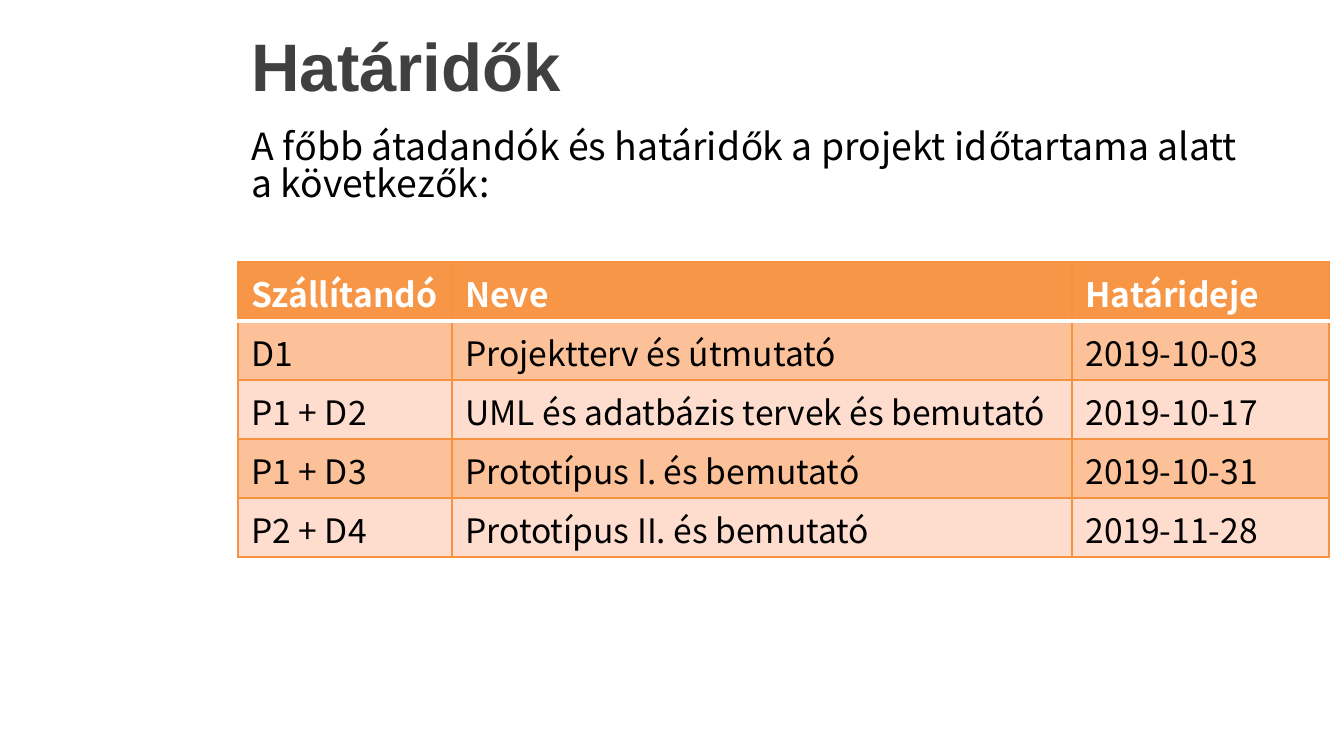
from lxml.etree import SubElement
from pptx import Presentation
from pptx.dml.color import RGBColor
from pptx.enum.text import MSO_ANCHOR
from pptx.oxml.ns import qn
from pptx.util import Emu, Pt

COLORS = {"title": "404040", "text": "000000", "white": "FFFFFF",
          "header": "F79646", "band": "FCC198", "plain": "FFDDCE",
          "border": "F69240"}
HEADING_FONT, BODY_FONT = "Arial", "Noto Sans CJK KR"
SCALE = 914400 / 134.4


def px(length):
    """Turn picture pixels into EMU."""
    return Emu(round(length * SCALE))


class DeadlineSlide:
    """Holds the style and the current slide."""

    def __init__(self, deck):
        """Add a blank slide to the deck."""
        self.slide = deck.slides.add_slide(deck.slide_layouts[6])

    def style(self, paragraph, size, color, font=BODY_FONT, bold=False):
        """Format every run of a paragraph."""
        for run in paragraph.runs:
            run.font.name, run.font.size, run.font.bold = font, Pt(size), bold
            run.font.color.rgb = RGBColor.from_string(COLORS[color])
            east_asian = SubElement(run.font._element, qn("a:ea"))
            east_asian.set("typeface", font)

    def text(self, box, wording, size, color, spacing=1.0,
             anchor=MSO_ANCHOR.TOP, **font):
        """Add a wrapped text box."""
        frame = self.slide.shapes.add_textbox(*map(px, box)).text_frame
        frame.word_wrap = True
        frame.vertical_anchor = anchor
        frame.text = wording
        frame.paragraphs[0].line_spacing = spacing
        self.style(frame.paragraphs[0], size, color, **font)

    def border(self, cell, side, color, width):
        """Draw one edge of a cell."""
        line = SubElement(cell._tc.get_or_add_tcPr(), qn(f"a:ln{side}"),
                          w=str(Pt(width)))
        fill = SubElement(line, qn("a:solidFill"))
        SubElement(fill, qn("a:srgbClr"), val=COLORS[color])

    def cell(self, cell, wording, row):
        """Fill and border one cell by its row."""
        header = row == 0
        cell.text = wording
        self.style(cell.text_frame.paragraphs[0], 18,
                   "white" if header else "text", bold=header)
        for side in "LRTB":
            divider = (row, side) in ((0, "B"), (1, "T"))
            self.border(cell, side, "white" if divider else "border",
                        2 if divider else 0.75)
        shade = "header" if header else "band" if row % 2 else "plain"
        cell.fill.solid()
        cell.fill.fore_color.rgb = RGBColor.from_string(COLORS[shade])

    def table(self, left, top, widths, row_height, rows):
        """Add a banded table with a header row."""
        table = self.slide.shapes.add_table(
            len(rows), len(widths), px(left), px(top), px(sum(widths)),
            px(row_height * len(rows))).table
        for column, width in zip(table.columns, widths):
            column.width = px(width)
        for r, wordings in enumerate(rows):
            table.rows[r].height = px(row_height)
            for c, wording in enumerate(wordings):
                self.cell(table.cell(r, c), wording, r)


deck = Presentation()
deck.slide_width, deck.slide_height = px(1344), px(756)
LEFT = 238
DEADLINES = [
    ("Szállítandó", "Neve", "Határideje"),
    ("D1", "Projektterv és útmutató", "2019-10-03"),
    ("P1 + D2", "UML és adatbázis tervek és bemutató", "2019-10-17"),
    ("P1 + D3", "Prototípus I. és bemutató", "2019-10-31"),
    ("P2 + D4", "Prototípus II. és bemutató", "2019-11-28"),
]

page = DeadlineSlide(deck)
page.text((LEFT, 0, 1106, 130), "Határidők", 36, "title",
          anchor=MSO_ANCHOR.MIDDLE, font=HEADING_FONT, bold=True)
page.table(LEFT, 262, (214, 620, 257), 59, DEADLINES)
page.text((LEFT, 124, 1016, 103),
          "A főbb átadandók és határidők a projekt időtartama alatt "
          "a következők:", 20, "text", spacing=0.83)
deck.save("out.pptx")
